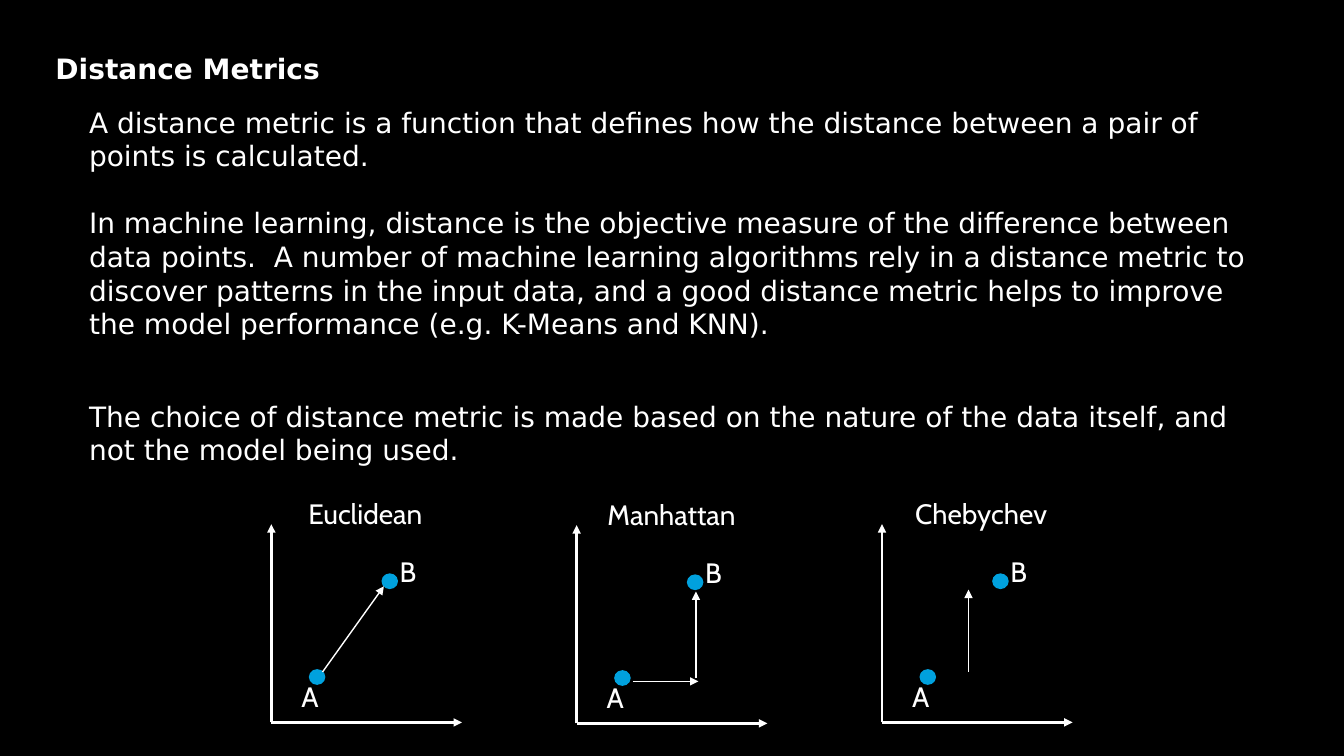
"""Build the slide that compares three distance metrics."""
from dataclasses import dataclass

from lxml.etree import SubElement
from pptx import Presentation
from pptx.dml.color import RGBColor
from pptx.enum.shapes import MSO_CONNECTOR, MSO_SHAPE
from pptx.enum.text import MSO_ANCHOR, MSO_AUTO_SIZE, PP_ALIGN
from pptx.oxml.ns import qn
from pptx.shapes.shapetree import GroupShapes
from pptx.slide import Slide
from pptx.text.text import TextFrame, _Paragraph
from pptx.util import Emu, Inches, Pt

STRAIGHT = MSO_CONNECTOR.STRAIGHT
OVAL = MSO_SHAPE.OVAL
TOP, MIDDLE = MSO_ANCHOR.TOP, MSO_ANCHOR.MIDDLE
NO_FIT = MSO_AUTO_SIZE.NONE
LEFT, CENTER = PP_ALIGN.LEFT, PP_ALIGN.CENTER

BLACK = RGBColor(0x00, 0x00, 0x00)
WHITE = RGBColor(0xFF, 0xFF, 0xFF)
BLUE = RGBColor(0x00, 0xA1, 0xDE)

WIDTH, HEIGHT = Inches(13.33), Inches(7.5)
COL, ROW = WIDTH / 160, HEIGHT / 90
SANS, CABIN = "DejaVu Sans", "Cabin"
SIZE, LEAD = Pt(20), Pt(24)

PLOT_X, PLOT_STEP, PLOT_Y = 32.3, 36.35, 86
AXIS_W, AXIS_H = 22.7, 23.6
DOT_W, DOT_H = 1.8, 1.7
TEXT_H, NAME_W, MARK_W = 5.3, 22, 2.8
NAME_UP = 27.5


@dataclass(frozen=True)
class Arrow:
    """An arrow in columns right of and rows above the plot's origin."""
    x1: float
    y1: float
    x2: float
    y2: float
    width: float = 1


@dataclass(frozen=True)
class Point:
    """A dot's centre and its label's corner, measured from the origin."""
    mark: str
    x: float
    y: float
    mark_x: float
    mark_y: float


@dataclass(frozen=True)
class Plot:
    """A metric's name, the name's centre, the plot's drop and its arrows."""
    name: str
    mid: float
    drop: float
    arrows: tuple[Arrow, ...]


@dataclass(frozen=True)
class Part:
    """A body paragraph and the space before it in points."""
    text: str
    gap: float


AXES = (Arrow(0, 0, 0, AXIS_H, 2), Arrow(0, 0, AXIS_W, 0, 2))
POINTS = (Point("A", 5.45, 5.4, 2.4, 5.75), Point("B", 14.1, 16.8, 14.1, 20.6))
PLOTS = (
    Plot("Euclidean", 11.2, 0, (Arrow(6.1, 6, 13.4, 16.2),)),
    Plot("Manhattan", 11.3, 0.12,
         (Arrow(14.2, 5.4, 14.2, 15.7), Arrow(6.7, 5, 14.5, 5))),
    Plot("Chebychev", 11.8, 0, (Arrow(10.3, 6, 10.3, 15.8),)),
)
PARTS = (
    Part("A distance metric is a function that defines how the distance "
         "between a pair of points is calculated.", 0),
    Part("In machine learning, distance is the objective measure of the "
         "difference between data points.  A number of machine learning "
         "algorithms rely in a distance metric to discover patterns in the "
         "input data, and a good distance metric helps to improve the model "
         "performance (e.g. K-Means and KNN).", 24),
    Part("The choice of distance metric is made based on the nature of the "
         "data itself, and not the model being used.", 42),
)


def place(x: float, y: float, w: float, h: float) -> tuple[Emu, ...]:
    """Turn grid columns and rows into lengths."""
    return Emu(int(x * COL)), Emu(int(y * ROW)), Emu(int(w * COL)), Emu(int(h * ROW))


def add_run(para: _Paragraph, text: str, font: str, bold: bool = False) -> None:
    """Add one white run to a paragraph."""
    run = para.add_run()
    run.text = text
    run.font.name = font
    run.font.size = SIZE
    run.font.bold = bold
    run.font.color.rgb = WHITE


def set_frame(frame: TextFrame, anchor: MSO_ANCHOR) -> None:
    """Wrap a text frame at a fixed size."""
    frame.word_wrap = True
    frame.auto_size = NO_FIT
    frame.vertical_anchor = anchor


def add_title(slide: Slide, text: str) -> None:
    """Fill the title placeholder."""
    title = slide.shapes.title
    title.left, title.top, title.width, title.height = place(5.4, 5.3, 144, 5.6)
    set_frame(title.text_frame, MIDDLE)
    para = title.text_frame.paragraphs[0]
    para.alignment = LEFT
    add_run(para, text, SANS, True)


def add_body(slide: Slide) -> None:
    """Fill the body placeholder with plain paragraphs."""
    body = slide.placeholders[1]
    body.left, body.top, body.width, body.height = place(10.6, 12.5, 138.7, 43.4)
    frame = body.text_frame
    set_frame(frame, TOP)
    frame.margin_left = frame.margin_right = 0
    frame.margin_top = frame.margin_bottom = 0
    for i, part in enumerate(PARTS):
        para = frame.add_paragraph() if i else frame.paragraphs[0]
        props = para._p.get_or_add_pPr()
        props.set("marL", "0")
        props.set("indent", "0")
        SubElement(props, qn("a:buNone"))
        para.alignment = LEFT
        para.line_spacing = LEAD
        para.space_before = Pt(part.gap)
        add_run(para, part.text, SANS)


def add_label(shapes: GroupShapes, text: str, x: float, y: float, w: float,
              align: PP_ALIGN) -> None:
    """Add a one-line label."""
    frame = shapes.add_textbox(*place(x, y, w, TEXT_H)).text_frame
    set_frame(frame, TOP)
    para = frame.paragraphs[0]
    para.alignment = align
    add_run(para, text, CABIN)


def add_dot(shapes: GroupShapes, x: float, y: float) -> None:
    """Add a blue dot around a centre."""
    dot = shapes.add_shape(OVAL, *place(x - DOT_W / 2, y - DOT_H / 2, DOT_W, DOT_H))
    dot.shadow.inherit = False
    dot.fill.solid()
    dot.fill.fore_color.rgb = BLUE
    dot.line.color.rgb = BLUE
    dot.line.width = Pt(1)


def add_arrow(shapes: GroupShapes, arrow: Arrow, x: float, y: float) -> None:
    """Add a white arrow from a plot's origin."""
    ends = place(x + arrow.x1, y - arrow.y1, x + arrow.x2, y - arrow.y2)
    line = shapes.add_connector(STRAIGHT, *ends)
    line.line.color.rgb = WHITE
    line.line.width = Pt(arrow.width)
    props = line.element.spPr
    SubElement(props.find(qn("a:ln")), qn("a:tailEnd"), type="triangle")
    SubElement(props, qn("a:effectLst"))


def add_plot(slide: Slide, plot: Plot, x: float) -> None:
    """Draw one metric as a group."""
    shapes = slide.shapes.add_group_shape().shapes
    y = PLOT_Y + plot.drop
    add_label(shapes, plot.name, x + plot.mid - NAME_W / 2, y - NAME_UP, NAME_W, CENTER)
    for point in POINTS:
        add_dot(shapes, x + point.x, y - point.y)
        add_label(shapes, point.mark, x + point.mark_x, y - point.mark_y, MARK_W, LEFT)
    for arrow in plot.arrows + AXES:
        add_arrow(shapes, arrow, x, y)


def main() -> None:
    """Build and save the deck."""
    deck = Presentation()
    deck.slide_width, deck.slide_height = WIDTH, HEIGHT
    slide = deck.slides.add_slide(deck.slide_layouts[1])
    slide.background.fill.solid()
    slide.background.fill.fore_color.rgb = BLACK
    add_title(slide, "Distance Metrics")
    add_body(slide)
    for i, plot in enumerate(PLOTS):
        add_plot(slide, plot, PLOT_X + i * PLOT_STEP)
    deck.save("out.pptx")


if __name__ == "__main__":
    main()
